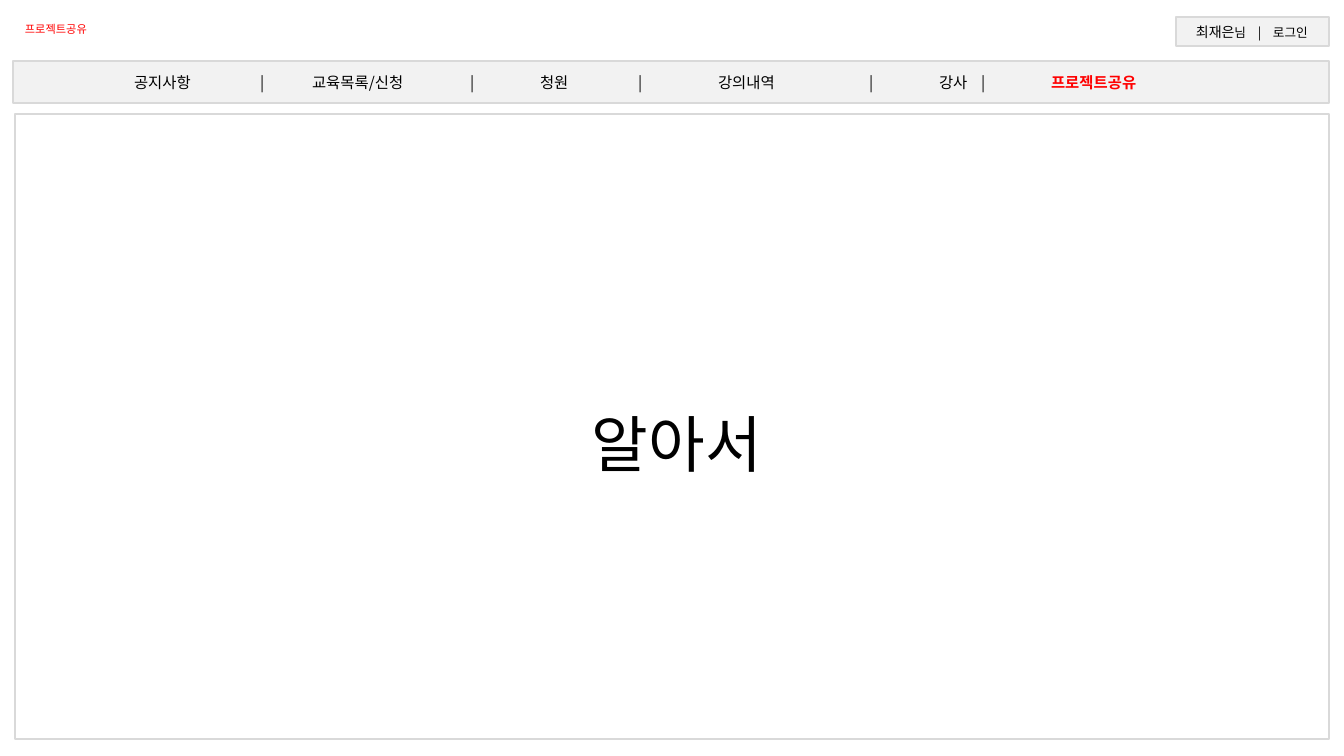
from lxml.etree import SubElement
from pptx import Presentation
from pptx.dml.color import RGBColor
from pptx.enum.shapes import MSO_SHAPE
from pptx.enum.text import MSO_ANCHOR, PP_ALIGN
from pptx.oxml.ns import qn
from pptx.util import Emu, Pt

SCALE = 914400 / 100.8
SANS = "Noto Sans CJK KR"
HEX = {"red": "FF0000", "black": "000000", "gray": "F2F2F2", "edge": "D9D9D9"}


def px(num):
    """Turn pixels into EMU."""
    return Emu(round(num * SCALE))


def color(name):
    """Look up a colour by name."""
    return RGBColor.from_string(HEX[name])


def style(para, size, ink="black", face=SANS):
    """Set the font of a whole paragraph."""
    font = para.font
    font.size, font.name = Pt(size), face
    font.color.rgb = color(ink)
    base = para._p.pPr.find(qn("a:defRPr"))
    SubElement(base, qn("a:ea")).set("typeface", SANS)


def add_text(slide, box, text, size, ink="black", face=SANS):
    """Add a wrapping text box with one paragraph."""
    frame = slide.shapes.add_textbox(*map(px, box)).text_frame
    frame.word_wrap = True
    para = frame.paragraphs[0]
    para.text = text
    style(para, size, ink, face)
    return frame


def add_panel(slide, box, fill=None):
    """Add a thinly outlined rectangle."""
    panel = slide.shapes.add_shape(MSO_SHAPE.RECTANGLE, *map(px, box))
    panel.shadow.inherit = False
    if fill:
        panel.fill.solid()
        panel.fill.fore_color.rgb = color(fill)
    else:
        panel.fill.background()
    panel.line.color.rgb = color("edge")
    panel.line.width = Pt(1)
    return panel


def add_menu(slide, box, stops, parts, size):
    """Add a bar whose entries sit on tab stops, and return its runs."""
    frame = add_panel(slide, box, "gray").text_frame
    frame.margin_left = frame.margin_right = 0
    frame.vertical_anchor = MSO_ANCHOR.MIDDLE
    para = frame.paragraphs[0]
    para.alignment = PP_ALIGN.LEFT
    tabs = SubElement(para._p.get_or_add_pPr(), qn("a:tabLst"))
    for stop in stops:
        tab = SubElement(tabs, qn("a:tab"))
        tab.set("pos", str(px(stop - box[0])))
        tab.set("algn", "l")
    style(para, size)
    runs = []
    for part in parts:
        run = para.add_run()
        run.text = part
        runs.append(run)
    return runs


def main():
    """Build and save the slide."""
    deck = Presentation()
    deck.slide_width, deck.slide_height = px(1344), px(756)
    slide = deck.slides.add_slide(deck.slide_layouts[6])

    add_text(slide, (15, 17, 324, 24), "프로젝트공유", 8, "red")

    items = ["공지사항", "교육목록/신청", "청원", "강의내역", "강사"]
    stops = [134, 260, 312, 470, 540, 638, 718, 869, 939, 981, 1051]
    menu = "".join(f"\t{item}\t|" for item in items) + "\t"
    runs = add_menu(slide, (13, 61, 1316, 42), stops, [menu, "프로젝트공유"], 11)
    runs[1].font.bold = True
    runs[1].font.color.rgb = color("red")

    title = add_text(slide, (106, 321, 1142, 165), "알아서", 44, face="Arial")
    title.vertical_anchor = MSO_ANCHOR.BOTTOM
    title.paragraphs[0].alignment = PP_ALIGN.CENTER
    title.paragraphs[0].line_spacing = 0.9

    parts = ["\t최재은", "님\t|\t로그인"]
    runs = add_menu(slide, (1176, 17, 153, 29), [1196, 1258, 1273], parts, 10)
    runs[1].font.size = Pt(9)

    add_panel(slide, (15, 114, 1314, 625))
    deck.save("out.pptx")


if __name__ == "__main__":
    main()
